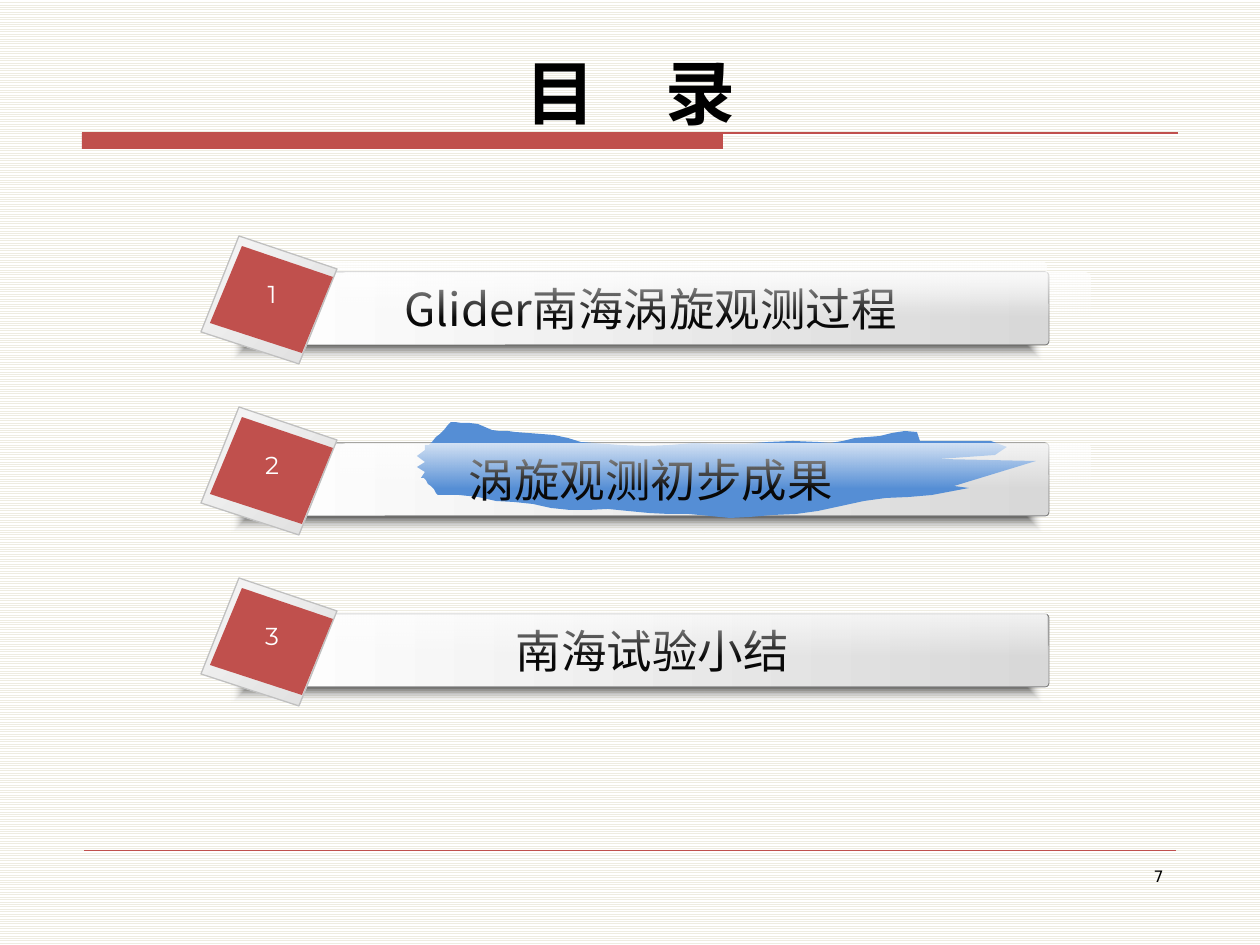
import math
from dataclasses import dataclass
from itertools import pairwise
from typing import NamedTuple, Optional

from lxml import etree
from pptx import Presentation
from pptx import util as u
from pptx.dml.color import RGBColor
from pptx.enum import dml, shapes, text
from pptx.oxml.ns import qn

PX = 914400 / 126
COLORS = {
    "accent": "C0504D", "stripe": "EEECE1", "white": "FFFFFF", "black": "000000",
    "ink": "080808", "bar_end": "D8D8D8", "bar_line": "808080",
    "frame_start": "F8F8F8", "frame_end": "DDDDDD", "frame_line": "C0C0C0",
    "brush": "558ED5",
}


class Box(NamedTuple):
    left: int
    top: int
    width: int
    height: int

    def emu(self) -> list:
        return [px(value) for value in self]

    def below(self, top: int) -> "Box":
        return self._replace(left=self.left + ROW_LEFT, top=self.top + top)


class Stop(NamedTuple):
    color: str
    opacity: int = 100


class Bristle(NamedTuple):
    tip: tuple
    notch: tuple


@dataclass
class Row:
    label: str
    gloss_top: int
    label_on_bar: bool = False
    brushed: bool = False


ROW_LEFT, FIRST_ROW_TOP, ROW_PITCH = 256, 272, 171
BAR, SHADOW = Box(0, 0, 793, 73), Box(-24, 52, 811, 38)
GLOSS, TOP_GLOSS = Box(42, 0, 748, 44), Box(84, 1, 750, 44)
NUMBER, LABEL = Box(-6, 1, 44, 50), Box(99, 2, 592, 68)
FRAME = [(43, 92), (-55, 60), (-17, -36), (81, -3)]
PHOTO = [(46, 81), (-46, 51), (-14, -26), (77, 5)]
ROWS = [
    Row("Glider南海涡旋观测过程", gloss_top=-10),
    Row("涡旋观测初步成果", gloss_top=2, brushed=True),
    Row("南海试验小结", gloss_top=-2, label_on_bar=True),
]
BRUSH_TOP = [(425, 445), (455, 422), (515, 432), (620, 445), (818, 442), (917, 432)]
BRISTLES = [
    Bristle(tip=(917, 432), notch=(920, 441)),
    Bristle(tip=(991, 441), notch=(1007, 447)),
    Bristle(tip=(995, 455), notch=(939, 459)),
    Bristle(tip=(1036, 461), notch=(954, 486)),
    Bristle(tip=(969, 488), notch=(932, 495)),
]
BRUSH_BOTTOM = [(932, 495), (750, 517), (588, 510), (441, 495), (421, 478)]


def px(value: float) -> int:
    return round(value * PX)


def rgb(name: str) -> RGBColor:
    return RGBColor.from_string(COLORS[name])


def rippled_edge(knots: list, steps: int = 8, ripple: float = 1) -> list:
    """Ease from knot to knot and add a small wave, like the side of a paint stroke."""
    points = []
    for (x0, y0), (x1, y1) in pairwise(knots):
        for step in range(steps):
            share = step / steps
            eased = (1 - math.cos(math.pi * share)) / 2
            wave = ripple * math.sin(4 * math.pi * share)
            points.append((x0 + (x1 - x0) * share, y0 + (y1 - y0) * eased + wave))
    return points + [knots[-1]]


def brush_stroke() -> list:
    """Join the top edge, the split right end, the bottom edge and the ragged left end."""
    right_end = [point for bristle in BRISTLES for point in bristle]
    (_, low), (_, high) = BRUSH_BOTTOM[-1], BRUSH_TOP[0]
    teeth = 6
    left_end = [(425 if tooth % 2 else 417, low + (high - low) * tooth / teeth)
                for tooth in range(1, teeth)]
    return rippled_edge(BRUSH_TOP) + right_end + rippled_edge(BRUSH_BOTTOM) + left_end


def set_gradient(shape, stops: list, angle: Optional[int] = None) -> None:
    """Fill with a linear gradient, or from the centre outwards without an angle."""
    shape.fill.background()
    old = shape._element.spPr.find(qn("a:noFill"))
    gradient = etree.Element(qn("a:gradFill"), rotWithShape="1")
    stop_list = etree.SubElement(gradient, qn("a:gsLst"))
    for position, stop in zip((0, 100000), stops):
        item = etree.SubElement(stop_list, qn("a:gs"), pos=str(position))
        color = etree.SubElement(item, qn("a:srgbClr"), val=COLORS[stop.color])
        if stop.opacity < 100:
            etree.SubElement(color, qn("a:alpha"), val=str(stop.opacity * 1000))
    if angle is None:
        route = etree.SubElement(gradient, qn("a:path"), path="shape")
        etree.SubElement(route, qn("a:fillToRect"), **dict.fromkeys("ltrb", "50000"))
    else:
        etree.SubElement(gradient, qn("a:lin"), ang=str(angle * 60000), scaled="0")
    old.getparent().replace(old, gradient)


def finish(shape, fill: Optional[str] = None, line: Optional[str] = None,
           weight: float = 0.75) -> None:
    shape.shadow.inherit = False
    if fill:
        shape.fill.solid()
        shape.fill.fore_color.rgb = rgb(fill)
    if line:
        shape.line.color.rgb = rgb(line)
        shape.line.width = u.Pt(weight)
    else:
        shape.line.fill.background()


def add_box(slide, box: Box, rounding: Optional[float] = None, **style):
    kind = shapes.MSO_SHAPE.RECTANGLE if rounding is None else shapes.MSO_SHAPE.ROUNDED_RECTANGLE
    shape = slide.shapes.add_shape(kind, *box.emu())
    if rounding is not None:
        shape.adjustments[0] = rounding
    finish(shape, **style)
    return shape


def add_outline(slide, points: list, corner: tuple = (0, 0), **style):
    placed = [(x + corner[0], y + corner[1]) for x, y in points]
    builder = slide.shapes.build_freeform(*placed[0], scale=PX)
    builder.add_line_segments(placed[1:], close=True)
    shape = builder.convert_to_shape()
    finish(shape, **style)
    return shape


def add_rule(slide, left: int, right: int, y: int, weight: float) -> None:
    rule = slide.shapes.add_connector(
        shapes.MSO_CONNECTOR.STRAIGHT, px(left), px(y), px(right), px(y))
    rule.line.color.rgb = rgb("accent")
    rule.line.width = u.Pt(weight)
    etree.SubElement(rule._element.spPr, qn("a:effectLst"))


def write(shape, words: str, color: str, font: dict, align=text.PP_ALIGN.CENTER,
          anchor=text.MSO_ANCHOR.TOP, wrap: bool = True, spacing: int = 0) -> None:
    frame = shape.text_frame
    frame.word_wrap, frame.vertical_anchor = wrap, anchor
    paragraph = frame.paragraphs[0]
    paragraph.alignment = align
    run = paragraph.add_run()
    run.text = words
    for name, value in font.items():
        setattr(run.font, name, value)
    run.font.color.rgb = rgb(color)
    properties = run._r.get_or_add_rPr()
    if spacing:
        properties.set("spc", str(spacing))
    if font["name"].startswith("Noto"):
        etree.SubElement(properties, qn("a:ea"), typeface=font["name"])


def add_text(slide, box: Box, words: str, color: str, font: dict, **layout) -> None:
    write(slide.shapes.add_textbox(*box.emu()), words, color, font, **layout)


def add_gloss(slide, box: Box) -> None:
    set_gradient(add_box(slide, box, 0.113), [Stop("white", 75), Stop("white", 0)], 90)


def add_row(slide, index: int, row: Row) -> None:
    top = FIRST_ROW_TOP + index * ROW_PITCH
    corner = (ROW_LEFT, top)
    gloss = GLOSS.below(top + row.gloss_top)
    label_style = {"color": "ink", "font": {"name": "Noto Sans CJK SC", "size": u.Pt(26)},
                   "anchor": text.MSO_ANCHOR.MIDDLE}
    set_gradient(add_box(slide, SHADOW.below(top)), [Stop("ink", 80), Stop("white", 0)])
    if row.brushed:
        add_gloss(slide, gloss)
    bar = add_box(slide, BAR.below(top), 0.054, line="bar_line", weight=0.5)
    set_gradient(bar, [Stop("white"), Stop("bar_end")], 0)
    if row.label_on_bar:
        write(bar, row.label, wrap=False, **label_style)
    if not row.brushed:
        add_gloss(slide, gloss)
    frame = add_outline(slide, FRAME, corner, line="frame_line")
    set_gradient(frame, [Stop("frame_start"), Stop("frame_end")], 45)
    add_outline(slide, PHOTO, corner, fill="accent")
    add_text(slide, NUMBER.below(top), str(index + 1), "white",
             {"name": "Montserrat", "size": u.Pt(14)}, wrap=False, spacing=-70)
    if row.brushed:
        add_outline(slide, brush_stroke(), fill="brush")
    if not row.label_on_bar:
        add_text(slide, LABEL.below(top), row.label, **label_style)
        add_gloss(slide, TOP_GLOSS.below(top))


def main() -> None:
    presentation = Presentation()
    presentation.slide_width, presentation.slide_height = px(1260), px(945)
    slide = presentation.slides.add_slide(presentation.slide_layouts[6])
    background = slide.background.fill
    background.patterned()
    background.pattern = dml.MSO_PATTERN.LIGHT_HORIZONTAL
    background.fore_color.rgb, background.back_color.rgb = rgb("stripe"), rgb("white")
    add_box(slide, Box(82, 133, 641, 16), fill="accent")
    add_rule(slide, 82, 1178, 133, 0.75)
    add_rule(slide, 84, 1176, 850, 0.25)
    add_text(slide, Box(217, 43, 827, 67), "目　录", "black",
             {"name": "Times New Roman", "size": u.Pt(40), "bold": True})
    add_text(slide, Box(903, 861, 273, 65), "7", "black",
             {"name": "DejaVu Sans", "size": u.Pt(9)}, align=text.PP_ALIGN.RIGHT)
    for index, row in enumerate(ROWS):
        add_row(slide, index, row)
    presentation.save("out.pptx")


if __name__ == "__main__":
    main()
